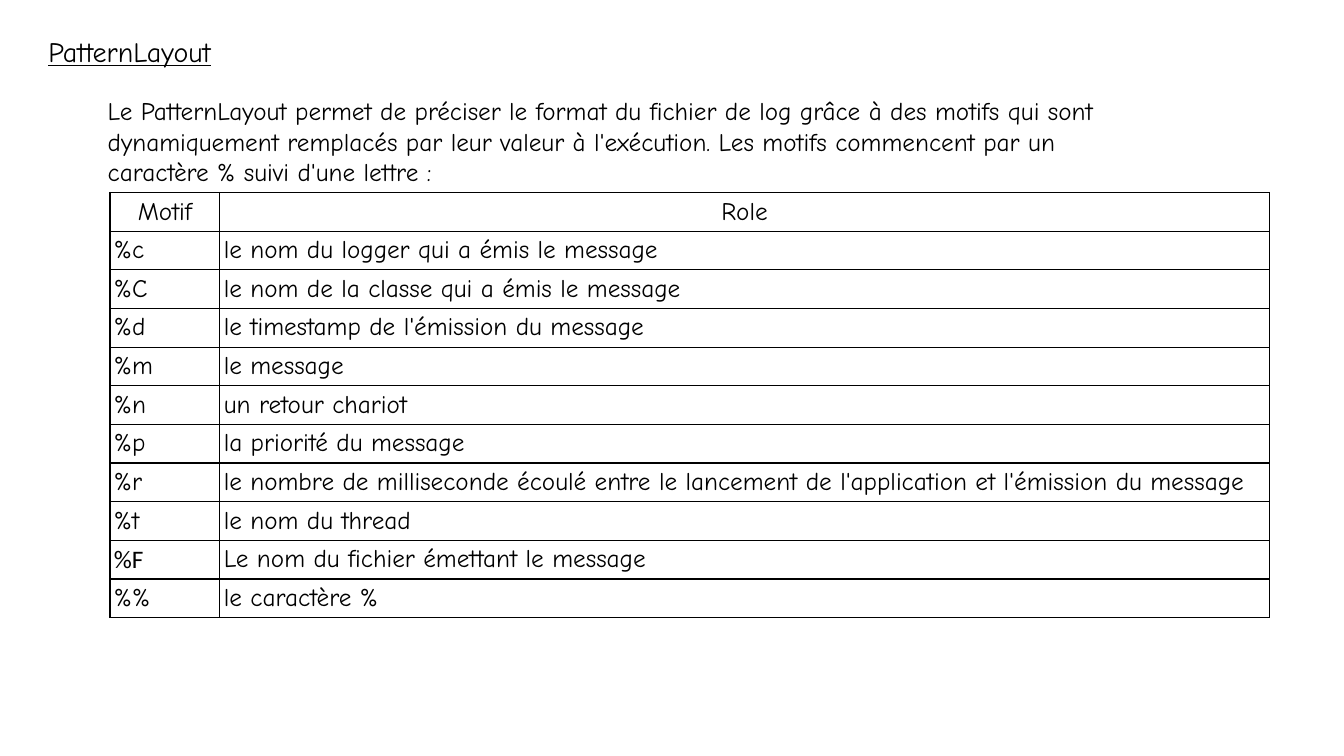
from dataclasses import dataclass

from lxml import etree
from pptx import Presentation
from pptx.dml.color import RGBColor
from pptx.enum.text import MSO_ANCHOR, MSO_AUTO_SIZE, PP_ALIGN
from pptx.oxml.ns import qn
from pptx.util import Inches, Pt

TITLE_ONLY = 5


@dataclass(frozen=True)
class Theme:
    """Colours, fonts and sizes of the slide."""
    ink: RGBColor = RGBColor(0, 0, 0)
    font: str = "Comic Neue"
    alt_font: str = "Calibri"
    title_size: int = 20
    body_size: int = 18
    border: float = 1
    cell_inset: float = 0.04


class SlideBuilder:
    """Holds the theme and the current slide."""

    def __init__(self, prs, theme):
        """Add a title-only slide to the presentation."""
        self.theme = theme
        self.slide = prs.slides.add_slide(prs.slide_layouts[TITLE_ONLY])

    def style_text(self, frame, text, size, font=None, align=PP_ALIGN.LEFT):
        """Put one styled paragraph in a text frame and return its font."""
        paragraph = frame.paragraphs[0]
        paragraph.alignment = align
        run = paragraph.add_run()
        run.text = text
        run.font.name = font or self.theme.font
        run.font.size = Pt(size)
        run.font.color.rgb = self.theme.ink
        return run.font

    def title(self, text, left, top, width, height):
        """Place the underlined title in its placeholder."""
        title = self.slide.shapes.title
        title.left, title.top = Inches(left), Inches(top)
        title.width, title.height = Inches(width), Inches(height)
        frame = title.text_frame
        frame.word_wrap = True
        frame.auto_size = MSO_AUTO_SIZE.NONE
        frame.vertical_anchor = MSO_ANCHOR.TOP
        self.style_text(frame, text, self.theme.title_size).underline = True

    def text(self, text, left, top, width, height):
        """Add a wrapped body text box."""
        box = self.slide.shapes.add_textbox(
            Inches(left), Inches(top), Inches(width), Inches(height))
        box.text_frame.word_wrap = True
        self.style_text(box.text_frame, text, self.theme.body_size)

    def outline(self, cell):
        """Draw a solid line on each side of a cell."""
        properties = cell._tc.get_or_add_tcPr()
        for side in ("lnL", "lnR", "lnT", "lnB"):
            line = etree.SubElement(properties, qn(f"a:{side}"),
                                    w=str(Pt(self.theme.border)))
            fill = etree.SubElement(line, qn("a:solidFill"))
            etree.SubElement(fill, qn("a:srgbClr"), val=str(self.theme.ink))

    def table(self, rows, left, top, widths, height, fonts):
        """Add a bordered table with a centred header row."""
        table = self.slide.shapes.add_table(
            len(rows), len(widths), Inches(left), Inches(top),
            Inches(sum(widths)), Inches(height)).table
        table.first_row = table.horz_banding = False
        for column, width in zip(table.columns, widths):
            column.width = Inches(width)
        for r, row in enumerate(rows):
            align = PP_ALIGN.LEFT if r else PP_ALIGN.CENTER
            for c, text in enumerate(row):
                cell = table.cell(r, c)
                cell.margin_left = cell.margin_right = Inches(self.theme.cell_inset)
                cell.margin_top = cell.margin_bottom = Inches(self.theme.cell_inset)
                cell.vertical_anchor = MSO_ANCHOR.MIDDLE
                self.outline(cell)
                cell.fill.background()
                self.style_text(cell.text_frame, text, self.theme.body_size,
                                fonts.get(text), align)


PATTERNS = [
    ("Motif", "Role"),
    ("%c", "le nom du logger qui a émis le message"),
    ("%C", "le nom de la classe qui a émis le message"),
    ("%d", "le timestamp de l'émission du message"),
    ("%m", "le message"),
    ("%n", "un retour chariot"),
    ("%p", "la priorité du message"),
    ("%r", "le nombre de milliseconde écoulé entre le lancement de "
           "l'application et l'émission du message"),
    ("%t", "le nom du thread"),
    ("%F", "Le nom du fichier émettant le message"),
    ("%%", "le caractère %"),
]


def main():
    """Build and save the slide."""
    prs = Presentation()
    prs.slide_width, prs.slide_height = Inches(13.33), Inches(7.5)
    theme = Theme()
    builder = SlideBuilder(prs, theme)
    builder.title("PatternLayout", 0.38, 0.29, 2.06, 0.44)
    builder.text(
        "Le PatternLayout permet de préciser le format du fichier de log grâce "
        "à des motifs qui sont dynamiquement remplacés par leur valeur à "
        "l'exécution. Les motifs commencent par un caractère % suivi d'une "
        "lettre :", 0.97, 0.9, 10.31, 1.01)
    builder.table(PATTERNS, 1.09, 1.91, (1.09, 10.41), 4.22,
                  fonts={"%F": theme.alt_font})
    prs.save("out.pptx")


main()
